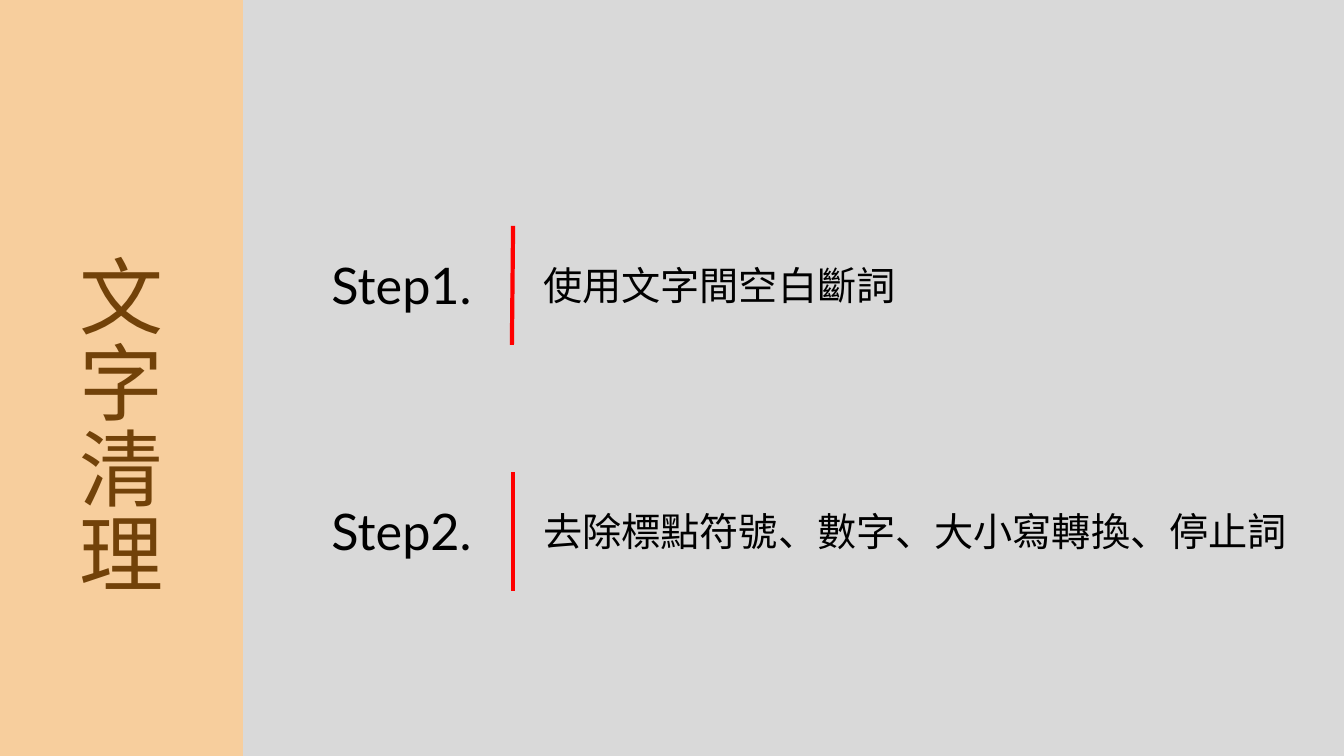
from dataclasses import dataclass

from lxml import etree
from pptx import Presentation
from pptx import util as u
from pptx.dml.color import RGBColor
from pptx.enum import shapes, text
from pptx.oxml.ns import qn

COLORS = {
    "background": "D9D9D9",
    "band": "F7CE9D",
    "title": "724209",
    "body": "000000",
    "rule": "FF0000",
}
FIRST_STEP_TOP = 5.69
STEP_PITCH = 6.21
RULE_HEIGHT = 3.0


@dataclass(frozen=True)
class TextStyle:
    font: str
    size: int
    color: str
    align: text.PP_ALIGN = text.PP_ALIGN.LEFT
    anchor: text.MSO_ANCHOR = text.MSO_ANCHOR.TOP
    wrap: bool = True
    fit: text.MSO_AUTO_SIZE = text.MSO_AUTO_SIZE.SHAPE_TO_FIT_TEXT


@dataclass(frozen=True)
class Step:
    label: str
    description: str
    width: float
    rule_end: float


TITLE = TextStyle("DejaVu Sans Mono", 60, "title", text.PP_ALIGN.CENTER,
                  text.MSO_ANCHOR.BOTTOM, fit=text.MSO_AUTO_SIZE.NONE)
LABEL = TextStyle("Lato", 36, "body", text.PP_ALIGN.CENTER, wrap=False)
DESCRIPTION = TextStyle("Lato", 28, "body")

STEPS = [
    Step("Step1.", "使用文字間空白斷詞", 12.07, 12.9),
    Step("Step2.", "去除標點符號、數字、大小寫轉換、停止詞", 19.51, 12.93),
]


def rgb(name: str) -> RGBColor:
    return RGBColor.from_string(COLORS[name])


def add_text(page, words: str, left: float, top: float, width: float,
             height: float, style: TextStyle):
    box = page.shapes.add_textbox(u.Cm(left), u.Cm(top), u.Cm(width), u.Cm(height))
    frame = box.text_frame
    frame.text = words
    frame.word_wrap = style.wrap
    frame.auto_size = style.fit
    frame.vertical_anchor = style.anchor
    para = frame.paragraphs[0]
    para.alignment = style.align
    para.font.name = style.font
    para.font.size = u.Pt(style.size)
    para.font.color.rgb = rgb(style.color)
    return para


def add_band(page, height: int) -> None:
    band = page.shapes.add_shape(shapes.MSO_SHAPE.RECTANGLE, 0, 0, u.Cm(6.12), height)
    band.shadow.inherit = False
    band.fill.solid()
    band.fill.fore_color.rgb = rgb("band")
    band.line.fill.background()


def add_title(page) -> None:
    para = add_text(page, "\v".join("文字清理"), 1.73, 6.25, 2.67, 9.07, TITLE)
    para.line_spacing = 0.85
    for span in para.runs:
        span.font.size = u.Pt(TITLE.size)
        span.font.fill.solid()
        span.font.fill.fore_color.rgb = rgb(TITLE.color)
    for properties in para._p.iter(qn("a:rPr"), qn("a:defRPr")):
        properties.set("spc", "-50")


def add_rule(page, top: float, end: float) -> None:
    rule = page.shapes.add_connector(
        shapes.MSO_CONNECTOR.STRAIGHT,
        u.Cm(12.93), u.Cm(top), u.Cm(end), u.Cm(top + RULE_HEIGHT))
    rule.line.color.rgb = rgb("rule")
    rule.line.width = u.Pt(3)
    etree.SubElement(rule._element.spPr, qn("a:effectLst"))


def add_step(page, step: Step, top: float) -> None:
    add_text(page, step.label, 7.82, top + 0.59, 4.6, 1.8, LABEL)
    add_rule(page, top, step.rule_end)
    add_text(page, step.description, 13.44, top + 0.77, step.width, 1.45, DESCRIPTION)


def main() -> None:
    deck = Presentation()
    deck.slide_width = u.Cm(33.87)
    deck.slide_height = u.Cm(19.05)
    page = deck.slides.add_slide(deck.slide_layouts[6])
    page.background.fill.solid()
    page.background.fill.fore_color.rgb = rgb("background")
    add_band(page, deck.slide_height)
    add_title(page)
    for index, step in enumerate(STEPS):
        add_step(page, step, FIRST_STEP_TOP + index * STEP_PITCH)
    deck.save("out.pptx")


if __name__ == "__main__":
    main()
